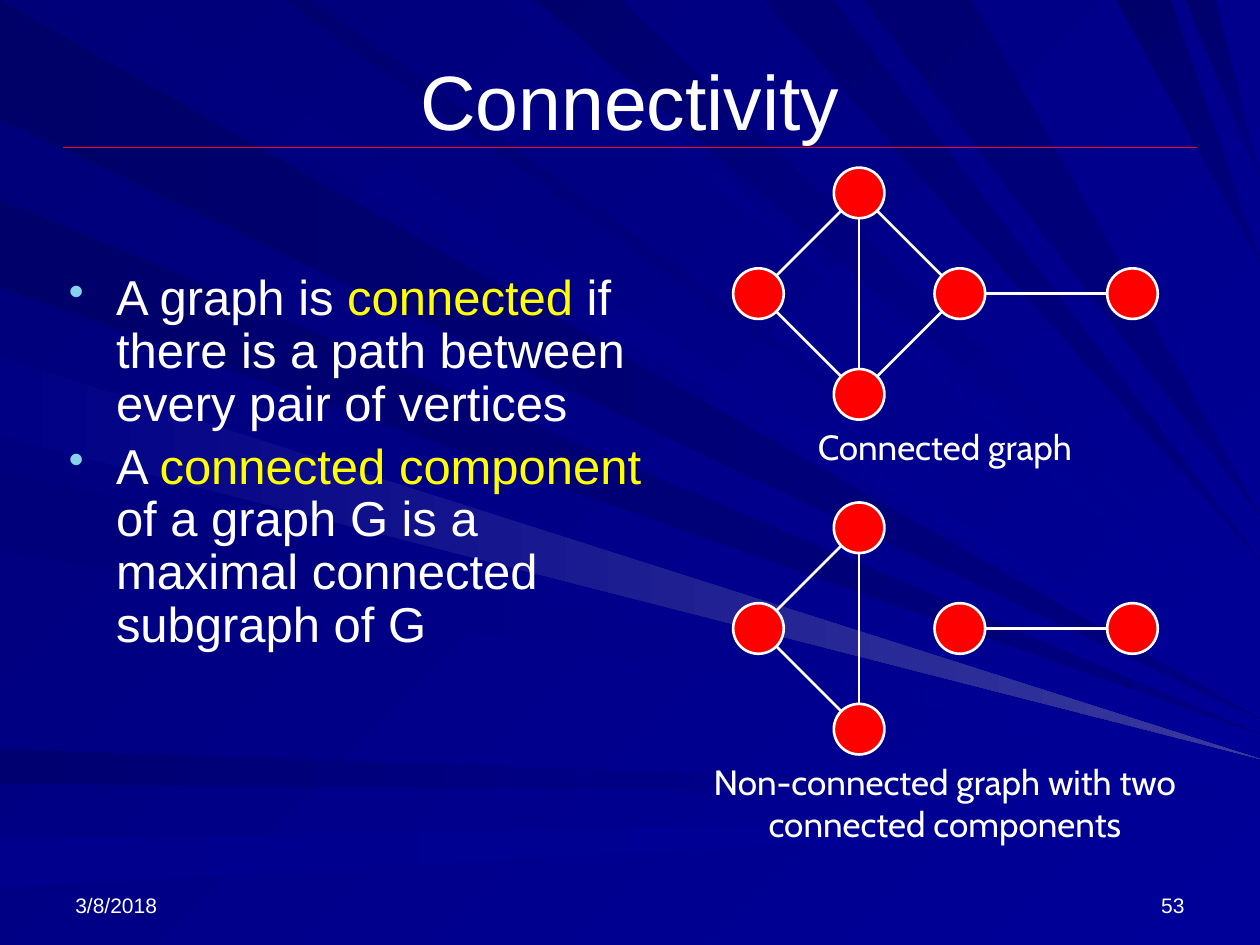
import math

from lxml import etree
from pptx import Presentation
from pptx.dml.color import RGBColor
from pptx.enum.shapes import MSO_CONNECTOR, MSO_SHAPE
from pptx.enum.text import MSO_ANCHOR, PP_ALIGN
from pptx.oxml.ns import qn
from pptx.util import Cm, Pt

STRAIGHT = MSO_CONNECTOR.STRAIGHT
OVAL = MSO_SHAPE.OVAL
TOP, MIDDLE, BOTTOM = MSO_ANCHOR.TOP, MSO_ANCHOR.MIDDLE, MSO_ANCHOR.BOTTOM
LEFT, CENTER, RIGHT = PP_ALIGN.LEFT, PP_ALIGN.CENTER, PP_ALIGN.RIGHT

WHITE, YELLOW, RED = "FFFFFF", "FFFF00", "FF0000"
RULE_RED, BULLET_BLUE = "EF0129", "86D1EC"
NAVY, BLUE, PALE_BLUE = "000080", "000099", "39399E"
WIDTH, HEIGHT = 25.4, 19.05

# Rays narrow from one edge to a tip on the right edge:
# start and end of the base, height of the tip (cm), start and end colour
LEFT_RAYS = [
    (0, 2.4, 14.5, "000069", NAVY),
    (15.1, 15.8, 16, "000071", BLUE),
    (16.9, 17.9, 16.5, "00008C", BLUE),
    (4, 5.8, 14.8, "00006B", NAVY),
    (7.1, 8.7, 15.2, "00007E", BLUE),
    (9.5, 11.1, 15.4, "00007B", BLUE),
    (7.2, 8.8, 15.3, "000085", PALE_BLUE),
]
TOP_RAYS = [
    (0.7, 2.6, 14.3, "00007B", BLUE),
    (10.1, 10.6, 13.2, "000083", BLUE),
    (10.8, 12.5, 12.5, "00006D", BLUE),
    (15.4, 16.8, 11.3, "000073", NAVY),
    (5.7, 6.3, 14, "000070", BLUE),
    (17.4, 19.6, 10.4, "000073", NAVY),
    (22.5, 23.6, 5.3, "00006B", NAVY),
    (23.9, 24.5, 3.6, "00006D", NAVY),
]

# Body paragraphs: before, highlighted term, after
DEFINITIONS = [
    ("A graph is ", "connected", " if there is a path between every pair of vertices"),
    ("A ", "connected component", " of a graph G is a maximal connected subgraph of G"),
]

# Vertex centres, from the centre of the leftmost column and top row
STEP, RADIUS = 2.03, 0.51
VERTICES = {"right": (2 * STEP, STEP), "left": (0, STEP), "top": (STEP, 0),
            "bottom": (STEP, 2 * STEP), "far": (7.54, STEP)}
SHARED_EDGES = [("top", "left"), ("bottom", "left"), ("top", "bottom"), ("right", "far")]
JOINING_EDGES = [("bottom", "right"), ("top", "right")]


def color(value):
    return RGBColor.from_string(value)


def fill_gradient(fill, start, end, angle):
    fill.gradient()
    fill.gradient_angle = (360 - angle) % 360
    for stop, value in zip(fill.gradient_stops, (start, end)):
        stop.color.rgb = color(value)


def format_font(font, size, name="Arial", value=WHITE):
    font.size = Pt(size)
    font.name = name
    font.color.rgb = color(value)


def add_text_frame(slide, left, top, width, height, anchor=TOP):
    box = slide.shapes.add_textbox(Cm(left), Cm(top), Cm(width), Cm(height))
    box.text_frame.word_wrap = True
    box.text_frame.vertical_anchor = anchor
    return box.text_frame


def add_label(slide, text, box, size, alignment, anchor=TOP, name="Arial"):
    text_frame = add_text_frame(slide, *box, anchor)
    text_frame.text = text
    paragraph = text_frame.paragraphs[0]
    paragraph.alignment = alignment
    format_font(paragraph.runs[0].font, size, name)


def add_line(slide, start, end, value, width):
    points = [Cm(length) for length in (*start, *end)]
    connector = slide.shapes.add_connector(STRAIGHT, *points)
    connector.line.color.rgb = color(value)
    connector.line.width = Pt(width)
    etree.SubElement(connector._element.spPr, qn("a:effectLst"))


def add_ray(group, corners, start, end, angle):
    points = [(Cm(x), Cm(y)) for x, y in corners]
    builder = group.shapes.build_freeform(*points[0])
    builder.add_line_segments(points[1:], close=True)
    ray = builder.convert_to_shape()
    ray.shadow.inherit = False
    ray.line.fill.background()
    fill_gradient(ray.fill, start, end, angle)


def add_background(slide):
    fill_gradient(slide.background.fill, "000078", BLUE, 45)
    group = slide.shapes.add_group_shape()
    for near, far, tip, start, end in LEFT_RAYS:
        add_ray(group, [(0, near), (0, far), (WIDTH, tip)], start, end, 0)
    for near, far, tip, start, end in TOP_RAYS:
        add_ray(group, [(near, 0), (far, 0), (WIDTH, tip)], start, end, 45)


def add_bullet(paragraph):
    properties = paragraph._p.get_or_add_pPr()
    properties.set("marL", str(Cm(0.95)))
    properties.set("indent", str(-Cm(0.95)))
    bullet_color = etree.SubElement(properties, qn("a:buClr"))
    etree.SubElement(bullet_color, qn("a:srgbClr"), val=BULLET_BLUE)
    etree.SubElement(properties, qn("a:buSzPct"), val="90000")
    etree.SubElement(properties, qn("a:buChar"), char="•")


def add_definitions(slide, left, top, width, height):
    text_frame = add_text_frame(slide, left, top, width, height)
    for index, parts in enumerate(DEFINITIONS):
        paragraph = text_frame.add_paragraph() if index else text_frame.paragraphs[0]
        add_bullet(paragraph)
        paragraph.line_spacing = 0.9
        if index:
            paragraph.space_before = Pt(5.6)
        for text, value in zip(parts, (WHITE, YELLOW, WHITE)):
            run = paragraph.add_run()
            run.text = text
            format_font(run.font, 28, value=value)


def add_graph(slide, left, top, edges, caption, caption_width, caption_height):
    centers = {name: (left + RADIUS + x, top + RADIUS + y)
               for name, (x, y) in VERTICES.items()}
    for x, y in centers.values():
        vertex = slide.shapes.add_shape(OVAL, Cm(x - RADIUS), Cm(y - RADIUS),
                                        Cm(2 * RADIUS), Cm(2 * RADIUS))
        vertex.shadow.inherit = False
        vertex.fill.solid()
        vertex.fill.fore_color.rgb = color(RED)
        vertex.line.color.rgb = color(WHITE)
        vertex.line.width = Pt(1.5)
    # Edges run from rim to rim
    for first, second in edges:
        (x1, y1), (x2, y2) = centers[first], centers[second]
        share = RADIUS / math.dist(centers[first], centers[second])
        dx, dy = (x2 - x1) * share, (y2 - y1) * share
        add_line(slide, (x1 + dx, y1 + dy), (x2 - dx, y2 - dy), WHITE, 1.5)
    caption_box = (left + 4.27 - caption_width / 2, top + 5.08, caption_width, caption_height)
    add_label(slide, caption, caption_box, 20, CENTER, name="Cabin")


def main():
    presentation = Presentation()
    presentation.slide_width, presentation.slide_height = Cm(WIDTH), Cm(HEIGHT)
    slide = presentation.slides.add_slide(presentation.slide_layouts[6])
    add_background(slide)
    # Rule, footer and title
    margin, footer_top, footer_width = 1.27, 17.35, 5.92
    right = WIDTH - margin
    add_line(slide, (margin, 2.97), (right, 2.97), RULE_RED, 0.75)
    for text, left, alignment in (("3/8/2018", margin, LEFT),
                                  ("53", right - footer_width, RIGHT)):
        add_label(slide, text, (left, footer_top, footer_width, 1.27), 12, alignment, BOTTOM)
    add_label(slide, "Connectivity", (margin, 0.76, right - margin, 2.49), 44, CENTER, MIDDLE)
    # Definitions and the two example graphs
    add_definitions(slide, 1.14, 5.38, 12.37, 12.57)
    graph_left = 14.78
    add_graph(slide, graph_left, 3.38, SHARED_EDGES + JOINING_EDGES,
              "Connected graph", 7.92, 1.09)
    add_graph(slide, graph_left, 10.13, SHARED_EDGES,
              "Non-connected graph with two connected components", 10.13, 1.96)
    presentation.save("out.pptx")


if __name__ == "__main__":
    main()
